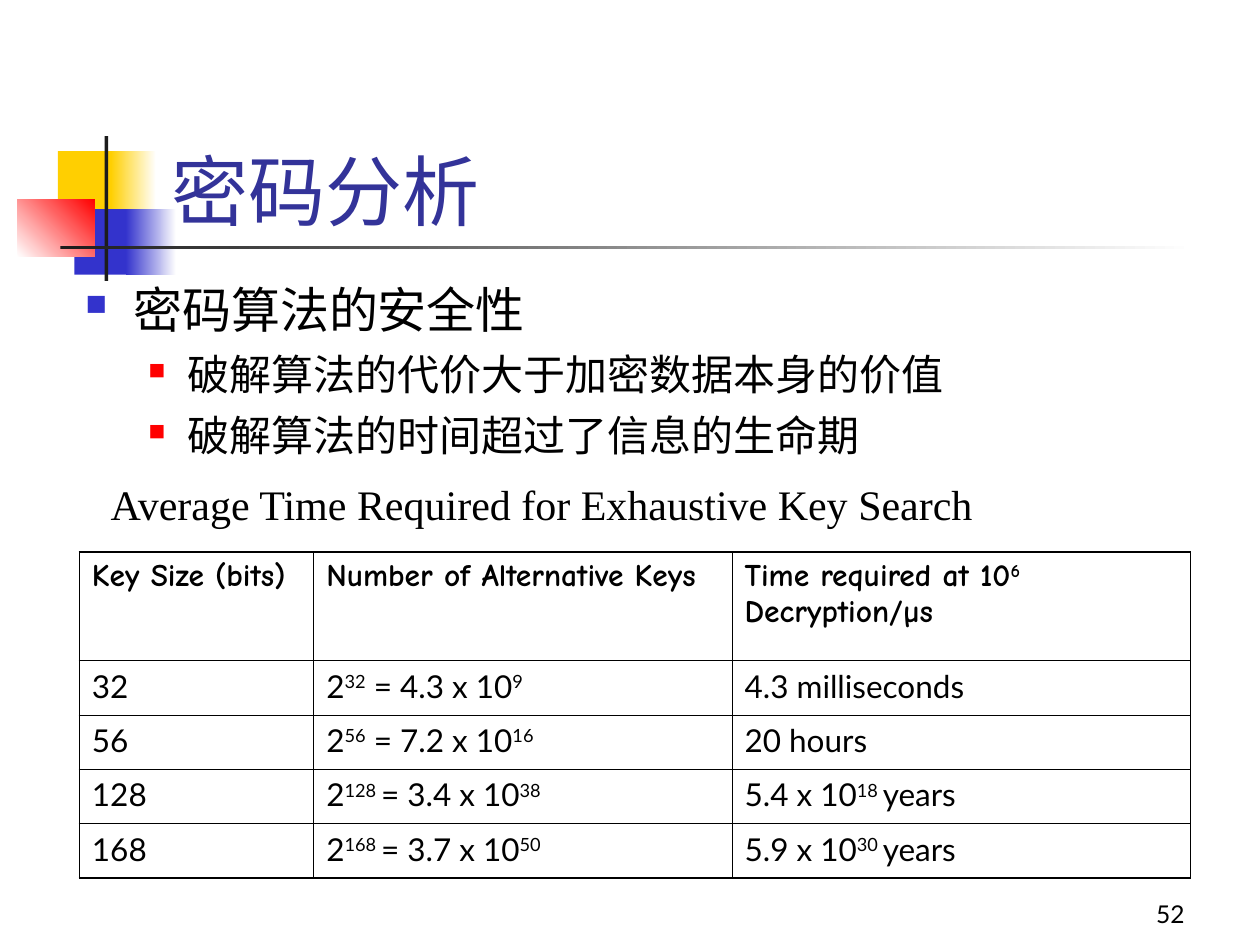
from pptx import Presentation
from pptx.dml.color import RGBColor as RGB
from pptx.enum.shapes import MSO_SHAPE as Shape
from pptx.enum.text import MSO_ANCHOR as Anchor, PP_ALIGN as Align
from pptx.oxml.ns import qn
from pptx.util import Inches, Pt
from lxml.etree import SubElement as Sub

BLACK = RGB(0x00, 0x00, 0x00)
WHITE = RGB(0xFF, 0xFF, 0xFF)
GOLD = RGB(0xFF, 0xCF, 0x01)
BLUE = RGB(0x33, 0x33, 0xCC)
RED = RGB(0xFF, 0x00, 0x00)
DARK = RGB(0x1C, 0x1C, 0x1C)
NAVY = RGB(0x33, 0x33, 0x99)

# Text between bars is set as superscript
ROWS = [
    ("Key Size (bits)", "Number of Alternative Keys",
     "Time required at 10|6| Decryption/µs"),
    ("32", "2|32| = 4.3 x 10|9", "4.3 milliseconds"),
    ("56", "2|56| = 7.2 x 10|16", "20 hours"),
    ("128", "2|128 |= 3.4 x 10|38", "5.4 x 10|18 |years"),
    ("168", "2|168 |= 3.7 x 10|50", "5.9 x 10|30 |years"),
]
COLS = [1.86, 3.32, 3.64]
THICK, THIN = 1.08, 0.45


def write(par, text, size=18, font="Lato", color=BLACK, bold=False,
          align=None, before=None):
    """Fill a paragraph, raising every second part of the text."""
    par.alignment = align
    if before:
        par.space_before = Pt(before)
    for i, part in enumerate(text.split("|")):
        run = par.add_run()
        run.text = part
        face = run.font
        face.size, face.name, face.bold = Pt(size), font, bold
        face.color.rgb = color
        if i % 2:
            run._r.get_or_add_rPr().set("baseline", "30000")


def frame(slide, x, y, w, h, anchor=Anchor.TOP):
    box = slide.shapes.add_textbox(Inches(x), Inches(y), Inches(w), Inches(h))
    text = box.text_frame
    text.word_wrap = True
    text.vertical_anchor = anchor
    return text


def bullet(par, left, hang, color, scale):
    props = par._p.get_or_add_pPr()
    props.set("marL", str(Inches(left)))
    props.set("indent", str(-Inches(hang)))
    Sub(Sub(props, qn("a:buClr")), qn("a:srgbClr")).set("val", str(color))
    Sub(props, qn("a:buSzPct")).set("val", str(scale * 1000))
    Sub(props, qn("a:buChar")).set("char", "■")


def block(slide, x, y, w, h, color, end=None, angle=0):
    """Add a borderless rectangle, plain or fading from color to end."""
    rect = slide.shapes.add_shape(
        Shape.RECTANGLE, Inches(x), Inches(y), Inches(w), Inches(h))
    rect.shadow.inherit = False
    rect.line.fill.background()
    if end is None:
        rect.fill.solid()
        rect.fill.fore_color.rgb = color
        return
    rect.fill.gradient()
    rect.fill.gradient_angle = angle
    for stop, tone, at in zip(rect.fill.gradient_stops, (color, end), (0, 1)):
        stop.color.rgb = tone
        stop.position = at


def motif(slide, x, y):
    # Coloured squares
    block(slide, x + 0.32, y + 0.12, 0.48, 0.52, GOLD)
    block(slide, x + 0.74, y + 0.12, 0.36, 0.52, GOLD, WHITE)
    block(slide, x + 0.45, y + 0.58, 0.46, 0.52, BLUE)
    block(slide, x + 0.86, y + 0.58, 0.4, 0.52, BLUE, WHITE)
    block(slide, x, y + 0.5, 0.61, 0.46, WHITE, RED, 45)
    # Crossing bars
    block(slide, x + 0.69, y, 0.03, 1.15, DARK)
    block(slide, x + 0.34, y + 0.87, 9, 0.03, DARK, WHITE)


def points(slide, x, y, w, h):
    body = frame(slide, x, y, w, h)
    head = body.paragraphs[0]
    bullet(head, 0.38, 0.38, BLUE, 60)
    write(head, "密码算法的安全性", size=28)
    for text in ("破解算法的代价大于加密数据本身的价值",
                 "破解算法的时间超过了信息的生命期"):
        par = body.add_paragraph()
        par.level = 1
        bullet(par, 0.81, 0.31, RED, 55)
        write(par, text, size=24, before=6)


def border(cell, **widths):
    props = cell._tc.get_or_add_tcPr()
    for i, (side, width) in enumerate(widths.items()):
        line = props.makeelement(qn("a:ln" + side), {"w": str(Pt(width))})
        fill = Sub(line, qn("a:solidFill"))
        Sub(fill, qn("a:srgbClr")).set("val", str(BLACK))
        props.insert(i, line)


def grid(slide, x, y, w, h):
    rows, cols = len(ROWS), len(COLS)
    table = slide.shapes.add_table(
        rows, cols, Inches(x), Inches(y), Inches(w), Inches(h)).table
    table.first_row = table.horz_banding = False
    for col, width in zip(table.columns, COLS):
        col.width = Inches(width)
    # The header is twice as high as each other row
    unit = h / (rows + 1)
    for r, texts in enumerate(ROWS):
        table.rows[r].height = Inches(unit if r else 2 * unit)
        for c, text in enumerate(texts):
            cell = table.cell(r, c)
            cell.fill.background()
            write(cell.text_frame.paragraphs[0], text, bold=r == 0,
                  font="Lato" if r else "Comic Neue")
            border(cell,
                   L=THIN if c else THICK,
                   R=THICK if c == cols - 1 else THIN,
                   T=THIN if r else THICK,
                   B=THICK if r == rows - 1 else THIN)


def main():
    deck = Presentation()
    deck.slide_width, deck.slide_height = Inches(10), Inches(7.5)
    slide = deck.slides.add_slide(deck.slide_layouts[6])
    motif(slide, 0.14, 1.08)
    # Page number
    page = frame(slide, 7.42, 6.92, 2.08, 0.5, Anchor.BOTTOM)
    write(page.paragraphs[0], "52", size=14, align=Align.RIGHT)
    # Title
    title = frame(slide, 1.26, 0.67, 8.52, 1.25, Anchor.BOTTOM)
    write(title.paragraphs[0], "密码分析", size=44, color=NAVY)
    points(slide, 0.58, 2.17, 8.71, 1.9)
    grid(slide, 0.63, 4.38, sum(COLS), 2.59)
    # Table caption
    note = frame(slide, 0.78, 3.75, 8.05, 0.5)
    write(note.paragraphs[0], "Average Time Required for Exhaustive Key Search",
          size=24, font="Times New Roman")
    deck.save("out.pptx")


if __name__ == "__main__":
    main()
